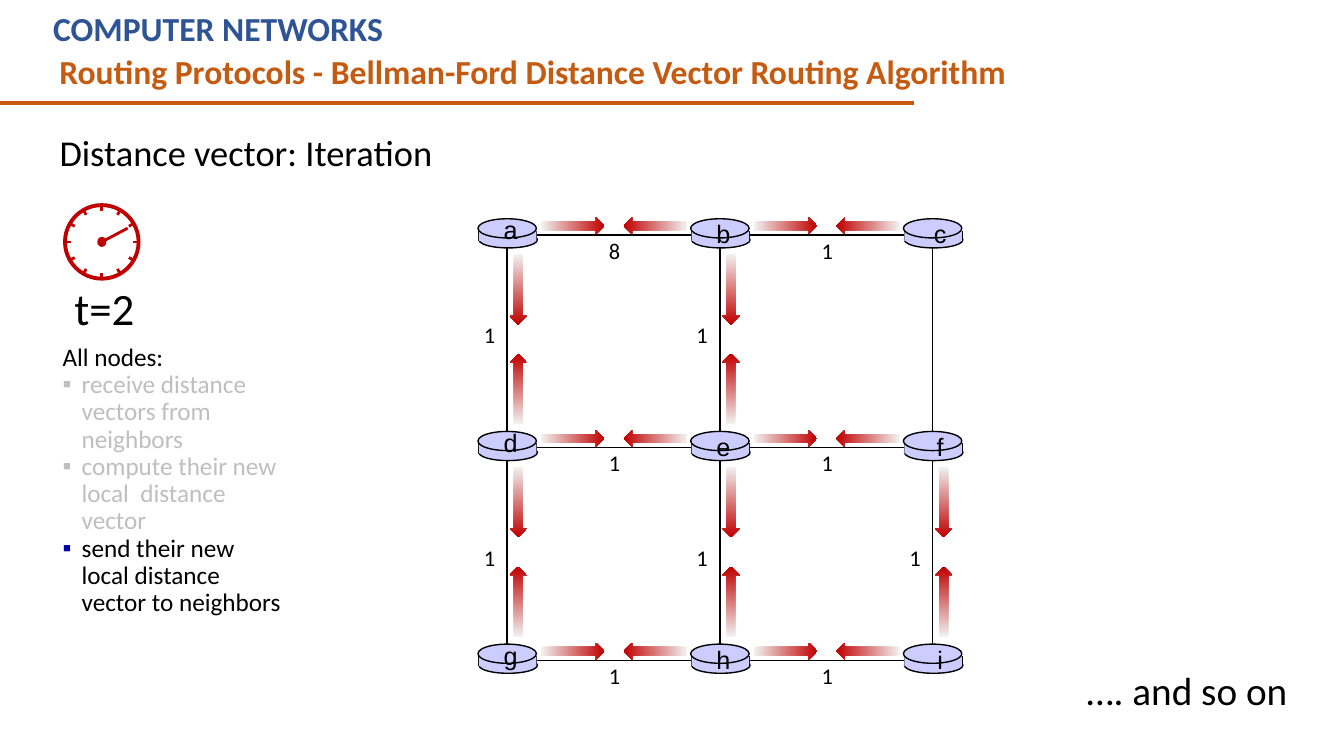
import math
from lxml import etree
from pptx import Presentation, util as u
from pptx.dml.color import RGBColor
from pptx.enum import shapes, text
from pptx.oxml import ns

BLACK, RED, LILAC, ORANGE, GREY = "000000", "C00000", "CCCCFF", "C55A11", "BFBFBF"
SHAPE = shapes.MSO_SHAPE
STRAIGHT = shapes.MSO_CONNECTOR.STRAIGHT


def paint(item, fill=None, line=None, width=1):
    if hasattr(item, "fill"):
        item.shadow.inherit = False
        if isinstance(fill, tuple):
            item.fill.gradient()
            item.fill.gradient_angle = 0
            for stop, colour in zip(item.fill.gradient_stops, fill):
                stop.color.rgb = RGBColor.from_string(colour)
        elif fill:
            item.fill.solid()
            item.fill.fore_color.rgb = RGBColor.from_string(fill)
        else:
            item.fill.background()
    if line:
        item.line.color.rgb = RGBColor.from_string(line)
        item.line.width = u.Pt(width)
    else:
        item.line.fill.background()
    if not hasattr(item, "fill"):
        etree.SubElement(item._element.spPr, ns.qn("a:effectLst"))


def write(box, words, size=16, colour=BLACK, font="Calibri", bold=False,
          align=text.PP_ALIGN.LEFT, spacing=1.0, bullet=None):
    frame = box.text_frame
    frame.word_wrap = True
    frame.auto_size = text.MSO_AUTO_SIZE.NONE
    paragraph = frame.add_paragraph() if frame.text else frame.paragraphs[0]
    paragraph.alignment = align
    paragraph.line_spacing = spacing
    paragraph.space_before = u.Pt(0)
    properties = paragraph._p.get_or_add_pPr()
    indent = u.Inches(0.19) if bullet else 0
    properties.set("marL", str(indent))
    properties.set("indent", str(-indent))
    if bullet:
        bullet_colour = etree.SubElement(properties, ns.qn("a:buClr"))
        etree.SubElement(bullet_colour, ns.qn("a:srgbClr"), val=bullet)
        etree.SubElement(properties, ns.qn("a:buChar"), char="▪")
    else:
        etree.SubElement(properties, ns.qn("a:buNone"))
    run = paragraph.add_run()
    run.text = words
    run.font.name, run.font.size, run.font.bold = font, u.Pt(size), bold
    run.font.color.rgb = RGBColor.from_string(colour)


presentation = Presentation()
presentation.slide_width, presentation.slide_height = u.Inches(13.33), u.Inches(7.5)
slide = presentation.slides.add_slide(presentation.slide_layouts[1])
canvas = slide.shapes

title, body = slide.placeholders
for placeholder, area in ((title, (0.49, 1.18, 5.38, 0.7)), (body, (0.52, 3.37, 2.4, 2.83))):
    (placeholder.left, placeholder.top,
     placeholder.width, placeholder.height) = [u.Inches(length) for length in area]
title.text_frame.vertical_anchor = text.MSO_ANCHOR.MIDDLE
write(title, "Distance vector: Iteration", size=26, spacing=0.9)
for words, colour, bullet in (
    ("All nodes:", BLACK, None),
    ("receive distance vectors from neighbors", GREY, GREY),
    ("compute their new local  distance vector", GREY, GREY),
    ("send their new local distance vector to neighbors", BLACK, "0000A8"),
):
    write(body, words, size=18, colour=colour, spacing=0.9, bullet=bullet)

PITCH = 2.11
columns = [5.03 + PITCH * i for i in range(3)]
rows = [2.33 + PITCH * i for i in range(3)]

mesh = canvas.add_shape(SHAPE.RECTANGLE, u.Inches(columns[0]), u.Inches(rows[0]),
                        u.Inches(2 * PITCH), u.Inches(2 * PITCH))
paint(mesh, line=BLACK)
for begin_side, end_side in ((2, 0), (1, 3)):
    middle = canvas.add_connector(STRAIGHT, 0, 0, 0, 0)
    middle.begin_connect(mesh, begin_side)
    middle.end_connect(mesh, end_side)
    paint(middle, line=BLACK)

costs = []
arrows = []
for row, y in enumerate(rows):
    for column, x in enumerate(columns[:2]):
        costs.append((x + 0.91, y - 0.03, "8" if row == column == 0 else "1"))
        arrows += [(x + 0.65, y - 0.09, 0.63, 0), (x + 1.47, y - 0.09, 0.63, 180)]
for row, y in enumerate(rows[:2]):
    for column, x in enumerate(columns):
        if (row, column) != (0, 2):
            costs.append((x - 0.33, y + (0.81, 0.91)[row], "1"))
            arrows += [(x + 0.11, y + 0.54, 0.7, 90), (x + 0.11, y + 1.53, 0.7, 270)]

for x, y, cost in costs:
    label = canvas.add_textbox(u.Inches(x), u.Inches(y), u.Inches(0.33), u.Inches(0.37))
    write(label, cost)
for x, y, length, rotation in arrows:
    arrow = canvas.add_shape(SHAPE.RIGHT_ARROW, u.Inches(x - length / 2), u.Inches(y - 0.085),
                             u.Inches(length), u.Inches(0.17))
    arrow.rotation = rotation
    paint(arrow, fill=("F2F2F2", RED))

for index, name in enumerate("abcdefghi"):
    row, column = divmod(index, 3)
    x, y = columns[column], rows[row]
    router = canvas.add_group_shape().shapes
    base = router.add_shape(SHAPE.OVAL, u.Inches(x - 0.28), u.Inches(y - 0.03),
                            u.Inches(0.58), u.Inches(0.16))
    paint(base, LILAC, BLACK)
    for side in (x - 0.28, x + 0.29):
        edge = router.add_connector(STRAIGHT, u.Inches(side), u.Inches(y - 0.04),
                                    u.Inches(side), u.Inches(y + 0.06))
        paint(edge, line=BLACK)
    wall = router.add_shape(SHAPE.RECTANGLE, u.Inches(x - 0.28), u.Inches(y - 0.04),
                            u.Inches(0.57), u.Inches(0.1))
    paint(wall, LILAC)
    top = router.add_shape(SHAPE.OVAL, u.Inches(x - 0.29), u.Inches(y - 0.16),
                           u.Inches(0.58), u.Inches(0.19))
    paint(top, LILAC, BLACK)
    label = router.add_textbox(u.Inches(x + (-0.19, -0.19, -0.15)[column]),
                               u.Inches(y + (-0.25, -0.21, -0.21)[column]),
                               u.Inches(0.45), u.Inches(0.46))
    write(label, name, size=18, font="Arial", align=text.PP_ALIGN.CENTER)

CLOCK_X, CLOCK_Y = 1.01, 2.4
clock = canvas.add_group_shape().shapes
for width, height, fill, line in ((0.73, 0.73, None, RED), (0.09, 0.1, RED, None)):
    disc = clock.add_shape(SHAPE.OVAL, u.Inches(CLOCK_X - width / 2),
                           u.Inches(CLOCK_Y - height / 2), u.Inches(width), u.Inches(height))
    paint(disc, fill, line, 2.75)
strokes = [(30 * hour, 0.31, 0.37) for hour in range(12)] + [(-28, 0, 0.29)]
for degrees, inner, outer in strokes:
    dx, dy = math.cos(math.radians(degrees)), math.sin(math.radians(degrees))
    stroke = clock.add_connector(
        STRAIGHT, u.Inches(CLOCK_X + inner * dx), u.Inches(CLOCK_Y + inner * dy),
        u.Inches(CLOCK_X + outer * dx), u.Inches(CLOCK_Y + outer * dy))
    paint(stroke, line=RED, width=2)

rule = canvas.add_connector(STRAIGHT, 0, u.Inches(1.02), u.Inches(9.07), u.Inches(1.02))
paint(rule, line=ORANGE, width=3)

for words, area, size, colour, bold in (
    ("t=2", (0.64, 2.74, 0.9, 0.64), 32, BLACK, False),
    ("COMPUTER NETWORKS", (0.43, 0.03, 8.2, 0.5), 24, "2F5496", True),
    ("Routing Protocols - Bellman-Ford Distance Vector Routing Algorithm",
     (0.49, 0.46, 9.66, 0.5), 24, ORANGE, True),
    ("…. and so on", (10.68, 6.56, 2.57, 0.81), 28, BLACK, False),
):
    caption = canvas.add_textbox(*[u.Inches(length) for length in area])
    write(caption, words, size=size, colour=colour, bold=bold)

presentation.save("out.pptx")
